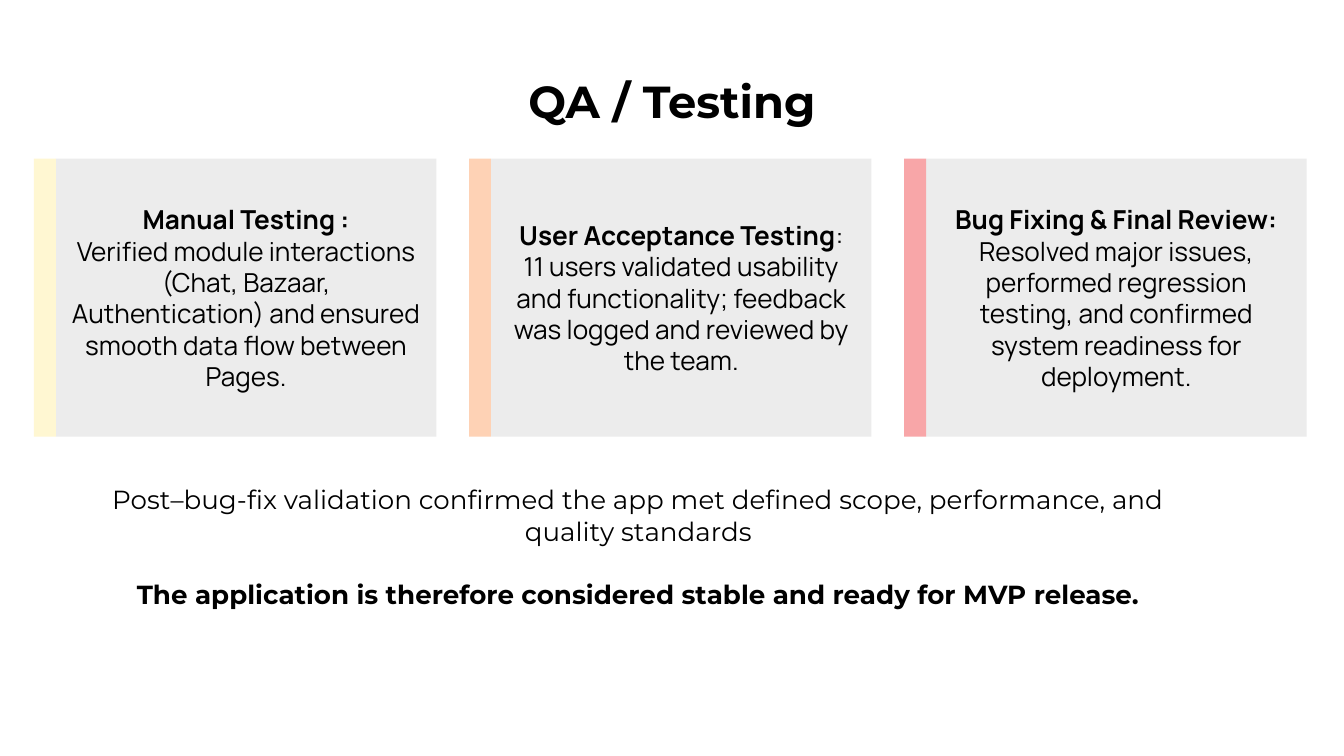
from dataclasses import dataclass

import pptx
import pptx.dml.color
import pptx.enum.shapes
import pptx.enum.text
import pptx.shapes.autoshape
import pptx.slide
import pptx.text.text
import pptx.util

Pt = pptx.util.Pt
RGBColor = pptx.dml.color.RGBColor

BLACK = RGBColor(0x00, 0x00, 0x00)
GREY = RGBColor(0xEC, 0xEC, 0xEC)
YELLOW = RGBColor(0xFF, 0xF7, 0xD2)
ORANGE = RGBColor(0xFE, 0xD2, 0xB5)
PINK = RGBColor(0xF8, 0xA6, 0xA8)

HEAD_FONT = "Montserrat"
CARD_FONT = "Manrope"
BODY_SIZE = 14
INSET = 7.2

LEFT, TOP, HEIGHT = 18.2, 85, 149
BAR_WIDTH, PANEL_WIDTH = 11.8, 203.8
PITCH = 233.1


@dataclass
class Card:
    head: str
    tail: str  # regular-weight end of the heading line
    body: str
    color: RGBColor


@dataclass
class Box:
    left: float
    top: float
    width: float
    height: float


CARDS = [
    Card("Manual Testing :", "",
         "Verified module interactions (Chat, Bazaar, Authentication) "
         "and ensured smooth data flow between Pages.", YELLOW),
    Card("User Acceptance Testing", ":",
         "11 users validated usability and functionality; feedback "
         "was logged and reviewed by the team.", ORANGE),
    Card("Bug Fixing & Final Review:", "",
         "Resolved major issues, performed regression testing, "
         "and confirmed system readiness for deployment.", PINK),
]


def set_frame(frame: pptx.text.text.TextFrame, anchor: pptx.enum.text.MSO_ANCHOR) -> None:
    frame.word_wrap = True
    frame.vertical_anchor = anchor
    frame.margin_left = frame.margin_right = Pt(INSET)
    frame.margin_top = frame.margin_bottom = Pt(INSET)


def set_text(para: pptx.text.text._Paragraph, text: str, font: str,
             size: float = BODY_SIZE, bold: bool = False) -> None:
    para.add_run().text = text
    para.alignment = pptx.enum.text.PP_ALIGN.CENTER
    para.font.name = font
    para.font.size = Pt(size)
    para.font.bold = bold
    para.font.color.rgb = BLACK


def add_rect(slide: pptx.slide.Slide, box: Box,
             color: RGBColor) -> pptx.shapes.autoshape.Shape:
    shape = slide.shapes.add_shape(
        pptx.enum.shapes.MSO_SHAPE.RECTANGLE,
        Pt(box.left), Pt(box.top), Pt(box.width), Pt(box.height))
    shape.shadow.inherit = False
    shape.fill.solid()
    shape.fill.fore_color.rgb = color
    shape.line.fill.background()
    return shape


def add_text(slide: pptx.slide.Slide, box: Box) -> pptx.text.text.TextFrame:
    frame = slide.shapes.add_textbox(
        Pt(box.left), Pt(box.top), Pt(box.width), Pt(box.height)).text_frame
    set_frame(frame, pptx.enum.text.MSO_ANCHOR.TOP)
    return frame


def add_card(slide: pptx.slide.Slide, card: Card, left: float) -> None:
    panel = add_rect(slide, Box(left + BAR_WIDTH, TOP, PANEL_WIDTH, HEIGHT), GREY)
    add_rect(slide, Box(left, TOP, BAR_WIDTH, HEIGHT), card.color)
    frame = panel.text_frame
    set_frame(frame, pptx.enum.text.MSO_ANCHOR.MIDDLE)
    head = frame.paragraphs[0]
    set_text(head, card.head, CARD_FONT, bold=True)
    if card.tail:
        run = head.add_run()
        run.text = card.tail
        run.font.bold = False
    set_text(frame.add_paragraph(), card.body, CARD_FONT)


def main() -> None:
    deck = pptx.Presentation()
    deck.slide_width, deck.slide_height = Pt(720), Pt(405)
    slide = deck.slides.add_slide(deck.slide_layouts[6])

    title = add_text(slide, Box(35.5, 32.4, 649, 44))
    set_text(title.paragraphs[0], "QA / Testing", HEAD_FONT, 24, True)

    for i, card in enumerate(CARDS):
        add_card(slide, card, LEFT + i * PITCH)

    notes = add_text(slide, Box(39, 252, 606, 99.4))
    set_text(notes.paragraphs[0],
             "Post–bug-fix validation confirmed the app met defined scope, "
             "performance, and quality standards", HEAD_FONT)
    final = notes.add_paragraph()
    set_text(final, "The application is therefore considered stable and ready "
             "for MVP release.", HEAD_FONT, bold=True)
    final.space_before = Pt(17)

    deck.save("out.pptx")


if __name__ == "__main__":
    main()
